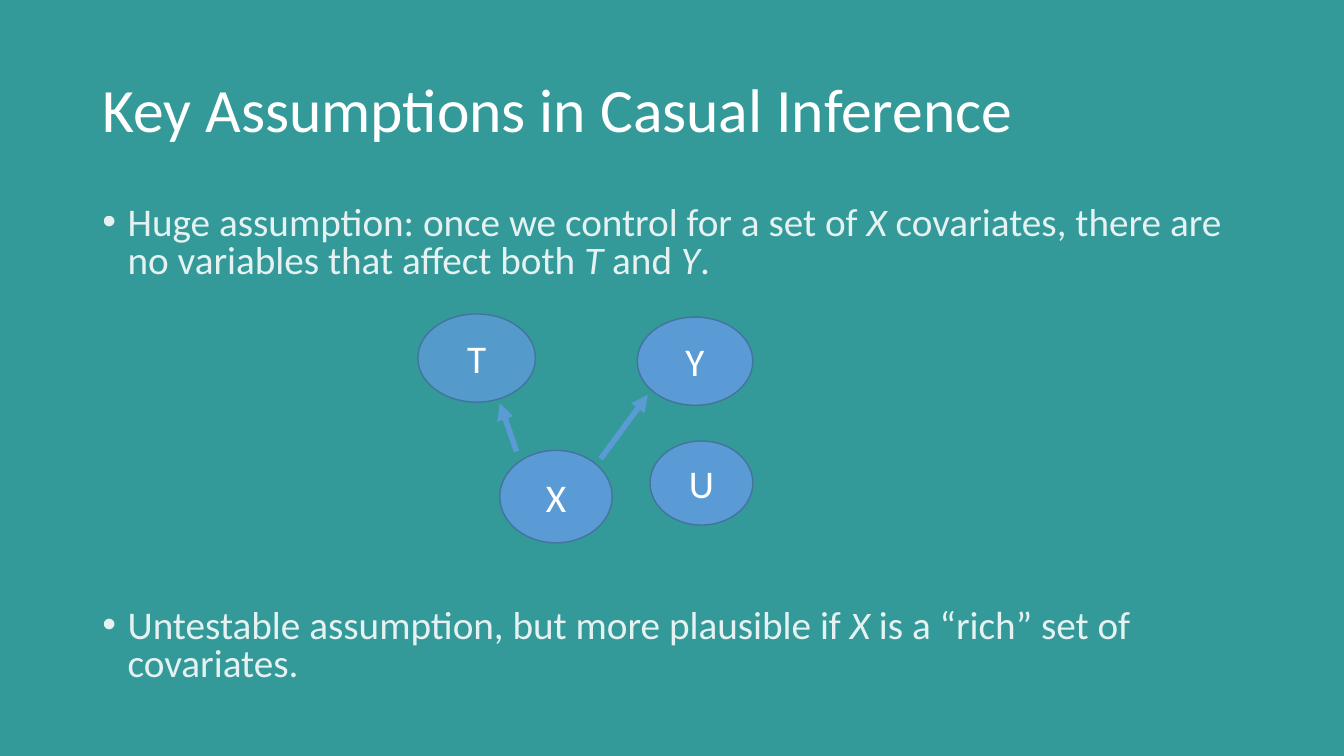
from dataclasses import dataclass

from lxml.etree import SubElement
from pptx import Presentation
from pptx.dml.color import RGBColor as Rgb
from pptx.enum.shapes import MSO_CONNECTOR as Line, MSO_SHAPE as Shape
from pptx.enum.text import MSO_ANCHOR as Anchor, MSO_AUTO_SIZE as Fit, PP_ALIGN as Align
from pptx.oxml.ns import qn
from pptx.util import Pt


@dataclass(frozen=True)
class Theme:
    font: str = "Calibri"
    back: str = "339A99"
    ink: str = "FFFFFF"
    node: str = "5B9BD5"
    edge: str = "43739E"
    title: int = 44
    body: int = 28


THEME = Theme()
WIDE, HIGH = 1280, 720


def px(n):
    return n * 9525


def place(item, box):
    item.left, item.top, item.width, item.height = map(px, box)


def fade(fill, alpha):
    """Set the opacity of a solid fill, in percent."""
    color = fill._xPr.find(".//" + qn("a:srgbClr"))
    SubElement(color, qn("a:alpha"), val=str(alpha * 1000))


def write(para, text, size, align=Align.LEFT, lead=1.0, before=0, bullet=False, alpha=100):
    """Fill a paragraph; words between asterisks are italic."""
    para.alignment, para.line_spacing = align, lead
    para.space_before = Pt(before)
    if bullet:
        props = para._p.get_or_add_pPr()
        props.set("marL", str(px(24)))
        props.set("indent", str(px(-24)))
        SubElement(props, qn("a:buFont"), typeface="Arial")
        SubElement(props, qn("a:buChar"), char="•")
    for i, part in enumerate(text.split("*")):
        run = para.add_run()
        run.text = part
        font = run.font
        font.name, font.size, font.italic = THEME.font, Pt(size), i % 2 == 1
        font.fill.solid()
        font.fill.fore_color.rgb = Rgb.from_string(THEME.ink)
        if alpha < 100:
            fade(font.fill, alpha)


def head(slide, box, text):
    title = slide.shapes.title
    place(title, box)
    frame = title.text_frame
    frame.auto_size, frame.vertical_anchor = Fit.NONE, Anchor.MIDDLE
    write(frame.paragraphs[0], text, THEME.title, lead=0.9)


def points(slide, box, items):
    """Fill the body with (text, space before) items."""
    body = slide.placeholders[1]
    place(body, box)
    frame = body.text_frame
    frame.auto_size, frame.vertical_anchor = Fit.NONE, Anchor.TOP
    for i, (text, gap) in enumerate(items):
        para = frame.add_paragraph() if i else frame.paragraphs[0]
        write(para, text, THEME.body, lead=0.8, before=gap, bullet=True, alpha=87)


def node(slide, box, name, alpha):
    oval = slide.shapes.add_shape(Shape.OVAL, *map(px, box))
    oval.shadow.inherit = False
    oval.fill.solid()
    oval.fill.fore_color.rgb = Rgb.from_string(THEME.node)
    if alpha < 100:
        fade(oval.fill, alpha)
    oval.line.color.rgb = Rgb.from_string(THEME.edge)
    oval.line.width = Pt(1)
    oval.text_frame.vertical_anchor = Anchor.MIDDLE
    write(oval.text_frame.paragraphs[0], name, THEME.body, align=Align.CENTER)


def arrow(slide, ends):
    link = slide.shapes.add_connector(Line.STRAIGHT, *map(px, ends))
    link.line.color.rgb = Rgb.from_string(THEME.node)
    link.line.width = Pt(4)
    SubElement(link.line._get_or_add_ln(), qn("a:tailEnd"), type="triangle")
    SubElement(link._element.spPr, qn("a:effectLst"))


def graph(slide, box):
    """Draw the causal graph: X points to T and Y, U stands alone."""
    left, top = box[:2]
    nodes = [
        ("T", 0, 0, 112, 84, 84),
        ("Y", 209, 3, 110, 84, 100),
        ("X", 78, 130, 107, 88, 100),
        ("U", 221, 121, 98, 80, 100),
    ]
    for name, x, y, wide, high, alpha in nodes:
        node(slide, (left + x, top + y, wide, high), name, alpha)
    for x1, y1, x2, y2 in [(94, 131, 78, 85), (174, 138, 219, 77)]:
        arrow(slide, (left + x1, top + y1, left + x2, top + y2))


def main():
    deck = Presentation()
    deck.slide_width, deck.slide_height = px(WIDE), px(HIGH)
    slide = deck.slides.add_slide(deck.slide_layouts[1])
    slide.background.fill.solid()
    slide.background.fill.fore_color.rgb = Rgb.from_string(THEME.back)
    head(slide, (88, 38, 1104, 139), "Key Assumptions in Casual Inference")
    points(slide, (88, 192, 1104, 490), [
        ("Huge assumption: once we control for a set of *X* covariates, "
         "there are no variables that affect both *T* and *Y*.", 0),
        ("Untestable assumption, but more plausible if *X* is a “rich” set of covariates.", 234),
    ])
    graph(slide, (398, 299, 319, 218))
    deck.save("out.pptx")


if __name__ == "__main__":
    main()
